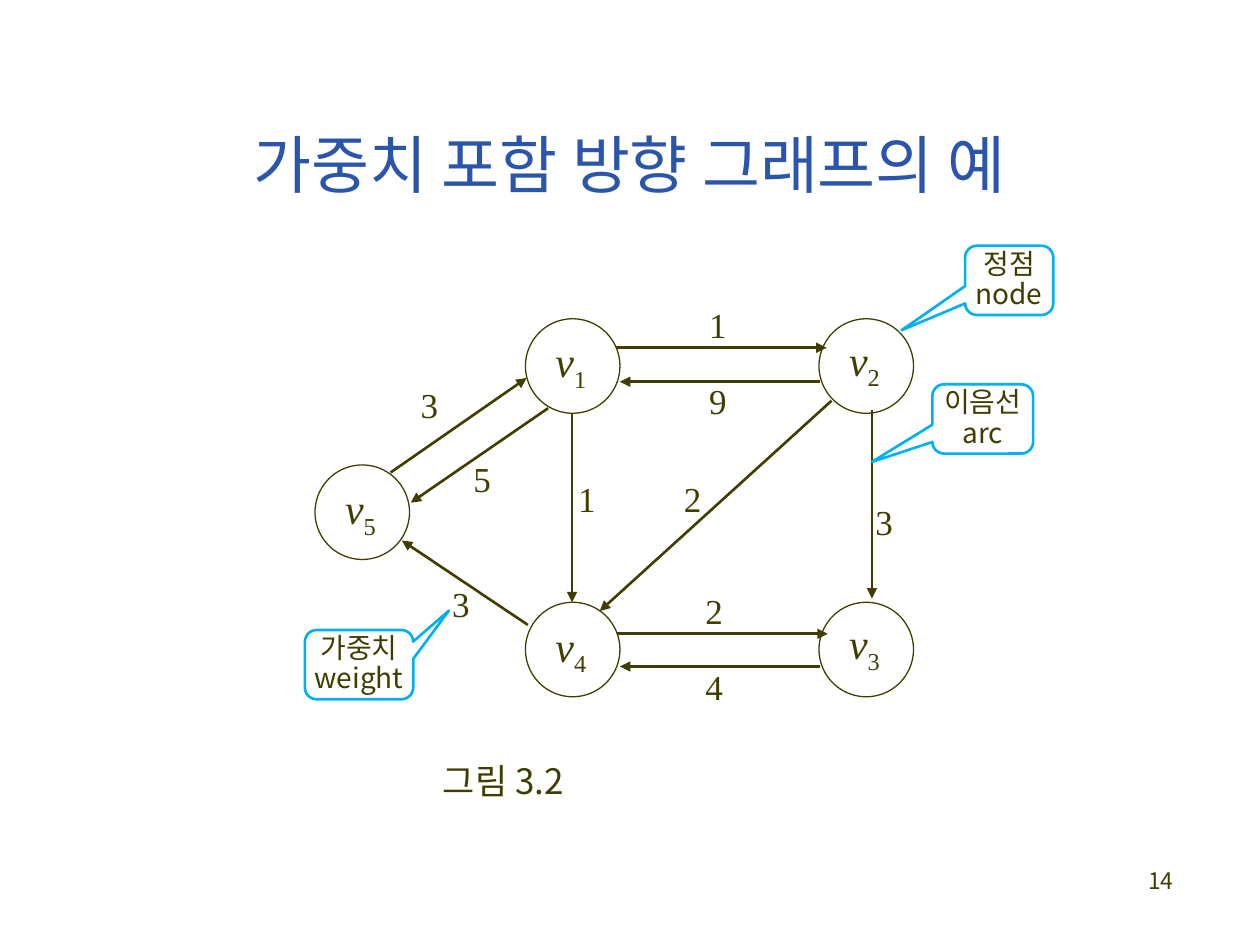
from dataclasses import dataclass

from lxml.etree import SubElement
from pptx import Presentation
from pptx.dml.color import RGBColor
from pptx.enum.shapes import MSO_CONNECTOR, MSO_SHAPE
from pptx.enum.text import MSO_ANCHOR, MSO_AUTO_SIZE, PP_ALIGN
from pptx.oxml.ns import qn
from pptx.util import Emu, Pt

EMU_PER_PX = 9144


@dataclass(frozen=True)
class Theme:
    """Colours, fonts and sizes of the slide."""
    ink: str = "3F3E00"
    title: str = "2A55AA"
    callout: str = "00B0F0"
    serif: str = "Times New Roman"
    sans: str = "Noto Sans CJK KR"
    title_size: int = 36
    node_size: int = 24
    weight_size: int = 20
    callout_size: int = 16
    page_size: int = 13
    node_line: float = 0.75
    thick_line: float = 1.5


THEME = Theme()
NODE_DIAMETER = 75
NODES = [
    ("5", 250, 369, 10),
    ("1", 417, 253, 9),
    ("4", 417, 478, 10),
    ("2", 650, 253, 8),
    ("3", 650, 478, 8),
]
ARCS = [
    ((310, 375), (418, 300), "3", (324, 303)),
    ((435, 324), (326, 399), "5", (366, 362)),
    ((489, 276), (656, 276), "1", (553, 240)),
    ((651, 303), (492, 303), "9", (553, 300)),
    ((454, 328), (454, 478), "1", (449, 378)),
    ((660, 318), (476, 485), "2", (533, 378)),
    ((490, 503), (657, 503), "2", (550, 467)),
    ((419, 496), (319, 429), "3", (349, 461)),
    ((692, 325), (692, 475), "3", (685, 396)),
    ((651, 529), (492, 529), "4", (550, 527)),
]
CALLOUTS = [
    (("정점", "node"), (766, 195, 70, 55), (-1.22, 0.72, 0.17)),
    (("이음선", "arc"), (740, 305, 80, 55), (-1.1, 0.62, 0.17)),
    (("가중치", "weight"), (242, 500, 86, 55), (0.83, -0.78, 0.17)),
]


def px(*lengths):
    """Turn pixel lengths into EMU."""
    return [Emu(length * EMU_PER_PX) for length in lengths]


def add_span(para, text, size, font=THEME.serif, color=THEME.ink,
             italic=False, baseline=0):
    """Add a formatted run to a paragraph."""
    span = para.add_run()
    span.text = text
    span.font.size = Pt(size)
    span.font.italic = italic
    span.font.color.rgb = RGBColor.from_string(color)
    span.font.name = font
    properties = span._r.get_or_add_rPr()
    SubElement(properties, qn("a:ea")).set("typeface", THEME.sans)
    if baseline:
        properties.set("baseline", str(baseline * 1000))
    return span


def add_box(page, bounds, align=PP_ALIGN.LEFT, anchor=MSO_ANCHOR.TOP,
            wrap=False, spacing=0.9):
    """Add a text box and return its first paragraph."""
    frame = page.shapes.add_textbox(*px(*bounds)).text_frame
    frame.word_wrap = wrap
    frame.vertical_anchor = anchor
    frame.auto_size = MSO_AUTO_SIZE.NONE if wrap else MSO_AUTO_SIZE.SHAPE_TO_FIT_TEXT
    para = frame.paragraphs[0]
    para.alignment = align
    para.line_spacing = spacing
    return para


def add_outline(page, kind, bounds, color, width):
    """Add an unfilled shape with a plain outline."""
    shape = page.shapes.add_shape(kind, *px(*bounds))
    shape.shadow.inherit = False
    shape.fill.background()
    shape.line.color.rgb = RGBColor.from_string(color)
    shape.line.width = Pt(width)
    return shape


def add_node(page, index, left, top, label_drop):
    """Add a graph node with its subscripted label."""
    add_outline(page, MSO_SHAPE.OVAL, (left, top, NODE_DIAMETER, NODE_DIAMETER),
                THEME.ink, THEME.node_line)
    para = add_box(page, (left + 14, top + label_drop, 46, 46))
    add_span(para, "v", THEME.node_size, italic=True)
    add_span(para, index, THEME.node_size, baseline=-25)


def add_arc(page, start, end):
    """Add an arrow from start to end."""
    arc = page.shapes.add_connector(MSO_CONNECTOR.STRAIGHT, *px(*start, *end))
    arc.line.color.rgb = RGBColor.from_string(THEME.ink)
    arc.line.width = Pt(THEME.thick_line)
    SubElement(arc.line._get_or_add_ln(), qn("a:tailEnd")).set("type", "triangle")
    SubElement(arc._element.spPr, qn("a:effectLst"))


def add_callout(page, lines, bounds, adjustments):
    """Add a rounded callout with one paragraph per line."""
    shape = add_outline(page, MSO_SHAPE.ROUNDED_RECTANGULAR_CALLOUT, bounds,
                        THEME.callout, THEME.thick_line)
    for position, value in enumerate(adjustments):
        shape.adjustments[position] = value
    frame = shape.text_frame
    frame.word_wrap = False
    frame.vertical_anchor = MSO_ANCHOR.MIDDLE
    for position, line in enumerate(lines):
        para = frame.add_paragraph() if position else frame.paragraphs[0]
        para.alignment = PP_ALIGN.CENTER
        para.line_spacing = 0.9
        add_span(para, line, THEME.callout_size, font=THEME.sans)


def main():
    """Build the weighted directed graph slide."""
    deck = Presentation()
    deck.slide_width, deck.slide_height = px(1000, 750)
    page = deck.slides.add_slide(deck.slide_layouts[6])

    number = add_box(page, (733, 683, 208, 50), align=PP_ALIGN.RIGHT,
                     wrap=True, spacing=1.0)
    add_span(number, "14", THEME.page_size, font=THEME.sans)
    title = add_box(page, (75, 67, 850, 125), align=PP_ALIGN.CENTER,
                    anchor=MSO_ANCHOR.MIDDLE, wrap=True, spacing=1.0)
    add_span(title, "가중치 포함 방향 그래프의 예", THEME.title_size, color=THEME.title)

    for node in NODES:
        add_node(page, *node)
    for start, end, _, _ in ARCS:
        add_arc(page, start, end)
    for _, _, weight, corner in ARCS:
        add_span(add_box(page, (*corner, 34, 40)), weight, THEME.weight_size)

    caption = add_box(page, (336, 602, 127, 40), align=PP_ALIGN.CENTER)
    add_span(caption, "그림 3.2", THEME.weight_size, font=THEME.sans)
    for callout in CALLOUTS:
        add_callout(page, *callout)
    deck.save("out.pptx")


if __name__ == "__main__":
    main()
